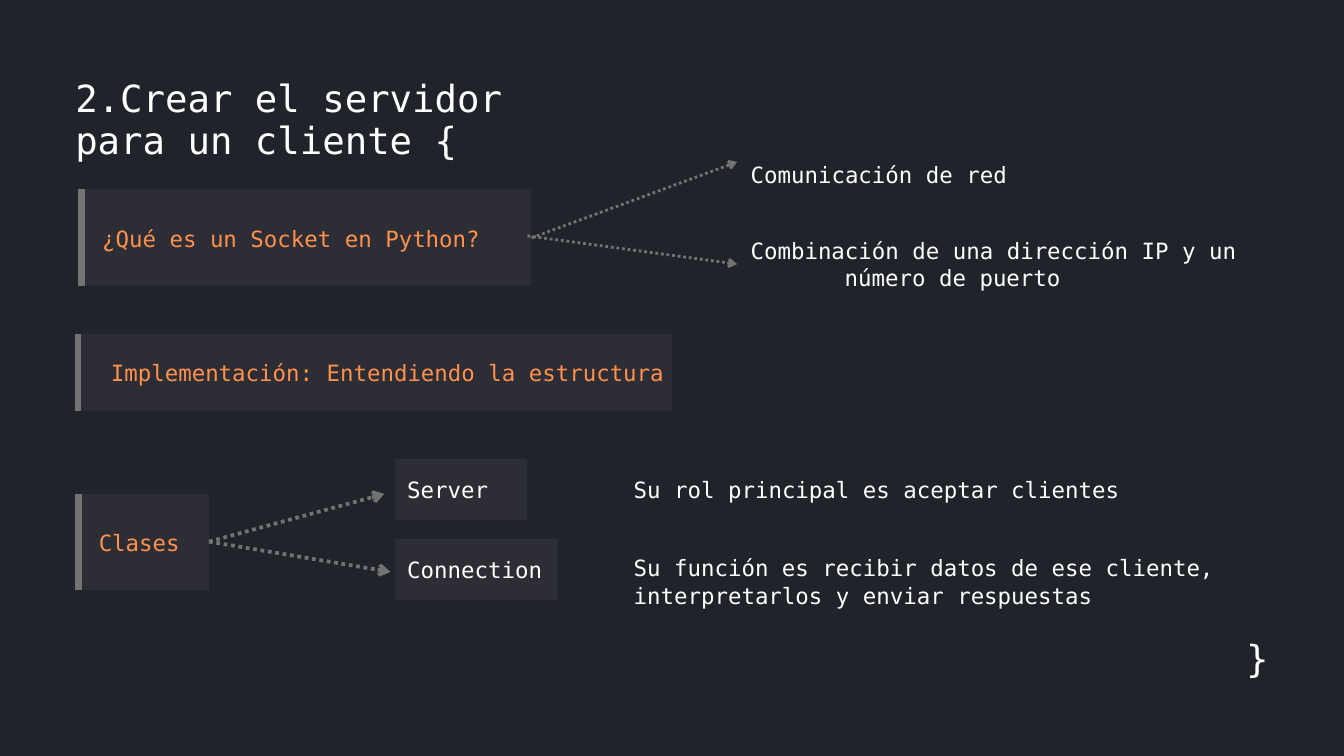
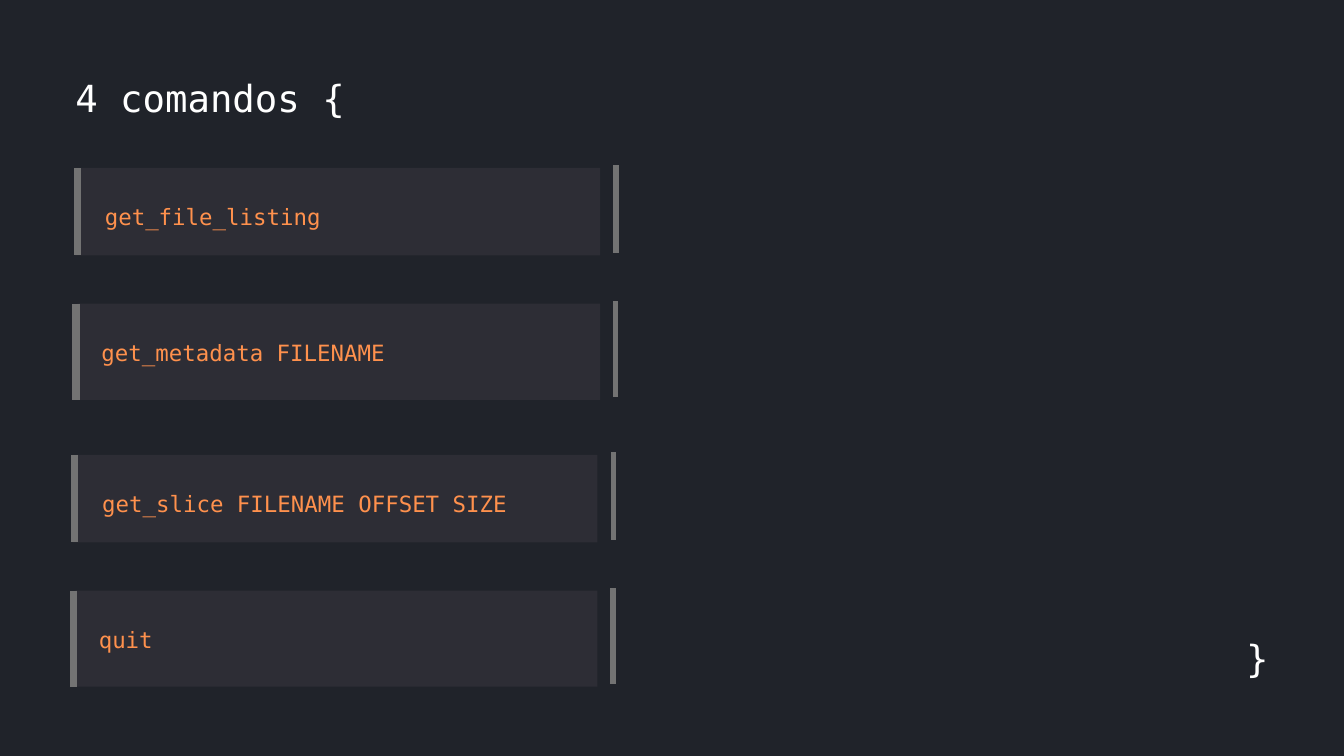
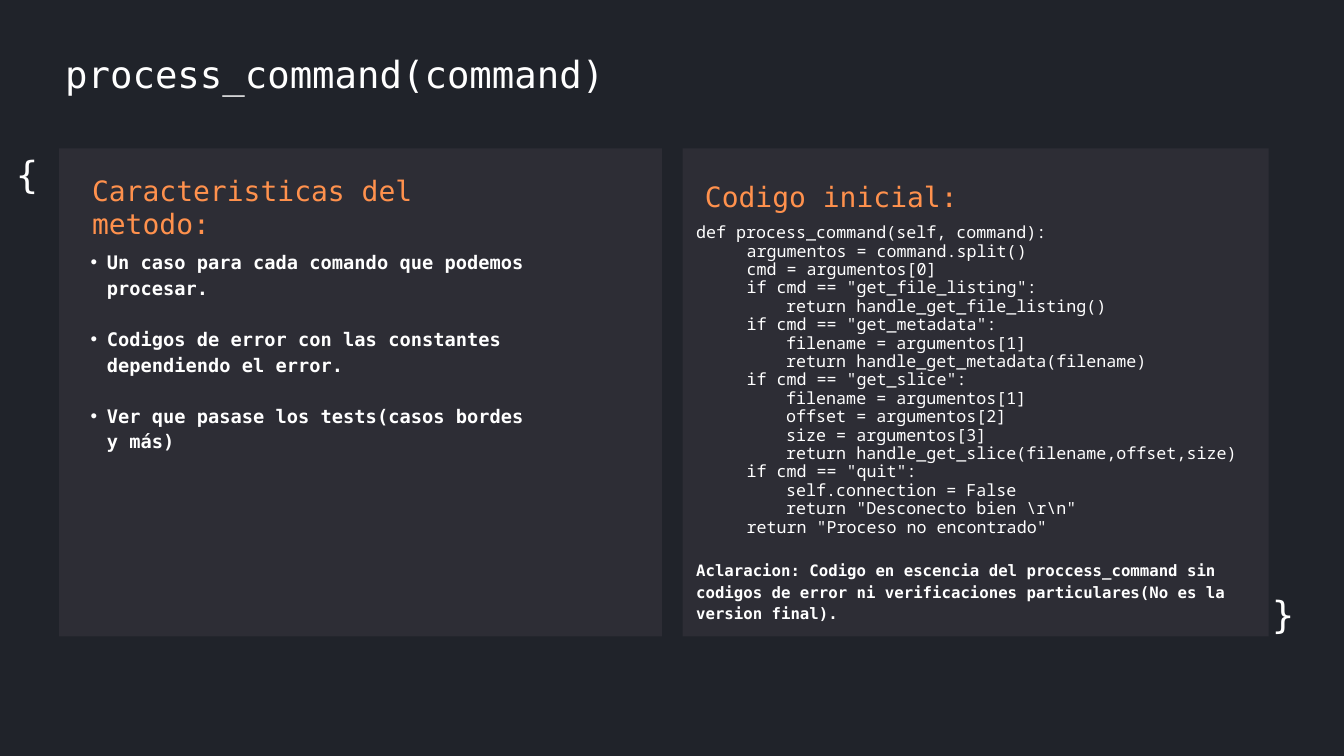
from dataclasses import dataclass
from lxml.etree import SubElement
from pptx import Presentation
from pptx.dml.color import RGBColor
from pptx.enum.dml import MSO_LINE
from pptx.enum.shapes import MSO_CONNECTOR, MSO_SHAPE
from pptx.enum.text import MSO_ANCHOR, MSO_AUTO_SIZE, PP_ALIGN
from pptx.oxml.ns import qn
from pptx.util import Inches, Pt


@dataclass
class Type:
    size: float
    lead: float
    tint: str = "FFFFFF"
    bold: bool = False
    name: str = "DejaVu Sans Mono"
    align: PP_ALIGN = PP_ALIGN.LEFT


@dataclass
class Theme:
    wide = 20
    high = 11.25
    back = "20232A"
    panel = "2D2D35"
    line = "737373"
    bar = 8
    slim = 6
    title = Type(40, 45.6)
    brace = Type(40, 45.6, align=PP_ALIGN.RIGHT)
    head = Type(30, 35.7, "FF914D")
    label = Type(24, 29, "FF914D")
    plain = Type(24, 29)
    point = Type(20, 27.4, bold=True)
    code = Type(17.9, 19.7, name="Noto Sans Mono")
    note = Type(16.8, 23, bold=True)


theme = Theme()

TITLES = [
    ("2.Crear el servidor para un cliente {", (1.12, 1.15, 7.69, 1.26)),
    ("4 comandos {", (1.12, 1.15, 8.88, 0.64)),
    ("process_command(command)", (0.97, 0.79, 9.03, 0.64)),
]
BRACES = [
    [("}", 18.11, 9.49)],
    [("}", 18.11, 9.49)],
    [("{", -0.2, 2.28), ("}", 18.49, 8.83)],
]

CARDS = [
    ("¿Qué es un Socket en Python?", (1.18, 2.82, 6.72, 1.43), 1.21, 1.52, theme.bar),
    ("Implementación: Entendiendo la estructura", (1.12, 4.97, 8.88, 1.14), 1.165, 1.65, theme.slim),
    ("Clases", (1.14, 7.35, 1.97, 1.43), 1.17, 1.47, theme.bar),
]
PARTS = [
    ("Server", (5.88, 6.83, 1.97, 0.91)),
    ("Connection", (5.88, 8.02, 2.42, 0.91)),
]
FACTS = [
    ([(0, "Comunicación de red")], (11.17, 2.39, 5.52, 0.81)),
    ([(0, "Combinación de una dirección IP y un"), (1.4, "número de puerto")],
     (11.17, 3.52, 7.6, 0.81)),
    ([(0, "Su rol principal es aceptar clientes")], (9.43, 7.08, 7.88, 0.41)),
    ([(0, "Su función es recibir datos de ese cliente, interpretarlos y enviar respuestas")],
     (9.43, 8.25, 9.37, 0.8)),
]
ARROWS = [
    ((7.91, 3.54), (10.97, 2.41), 3),
    ((7.85, 3.51), (10.97, 3.93), 3),
    ((3.11, 8.06), (5.72, 7.35), 4),
    ((3.11, 8.06), (5.81, 8.51), 4),
]

ORDERS = ["get_file_listing", "get_metadata FILENAME", "get_slice FILENAME OFFSET SIZE", "quit"]

PANELS = [(0.88, 2.21, 8.97, 7.26), (10.16, 2.21, 8.72, 7.26)]
HEADS = [
    ("Caracteristicas del metodo:", (1.37, 2.58, 6.5, 0.98)),
    ("Codigo inicial:", (10.49, 2.67, 7.26, 0.49)),
]
POINTS = [
    "Un caso para cada comando que podemos procesar.",
    "Codigos de error con las constantes dependiendo el error.",
    "Ver que pasase los tests(casos bordes y más)",
]
STEPS = (0, 0.75, 1.34)
CODE = [
    (0, "def process_command(self, command):"),
    (1, "argumentos = command.split()"),
    (1, "cmd = argumentos[0]"),
    (1, 'if cmd == "get_file_listing":'),
    (2, "return handle_get_file_listing()"),
    (1, 'if cmd == "get_metadata":'),
    (2, "filename = argumentos[1]"),
    (2, "return handle_get_metadata(filename)"),
    (1, 'if cmd == "get_slice":'),
    (2, "filename = argumentos[1]"),
    (2, "offset = argumentos[2]"),
    (2, "size = argumentos[3]"),
    (2, "return handle_get_slice(filename,offset,size)"),
    (1, 'if cmd == "quit":'),
    (2, "self.connection = False"),
    (2, r'return "Desconecto bien \r\n"'),
    (1, 'return "Proceso no encontrado"'),
]
NOTE = ("Aclaracion: Codigo en escencia del proccess_command sin codigos de error "
        "ni verificaciones particulares(No es la version final).")


def apply(thing, values):
    for key, value in values.items():
        setattr(thing, key, value)


def place(shape, box):
    apply(shape, dict(zip(("left", "top", "width", "height"), map(Inches, box))))


def write(shape, lines, kind, bullet=False):
    frame = shape.text_frame
    apply(frame, {"word_wrap": True, "auto_size": MSO_AUTO_SIZE.NONE,
                  "vertical_anchor": MSO_ANCHOR.TOP, "margin_left": 0,
                  "margin_right": 0, "margin_top": 0, "margin_bottom": 0})
    for i, (indent, text) in enumerate(lines):
        para = frame.add_paragraph() if i else frame.paragraphs[0]
        last = i == len(lines) - 1
        apply(para, {"alignment": kind.align, "line_spacing": Pt(kind.lead),
                     "space_before": Pt(0),
                     "space_after": Pt(kind.lead if bullet and not last else 0)})
        props = para._p.get_or_add_pPr()
        props.set("marL", str(Inches(indent)))
        props.set("indent", str(Inches(-0.24 if bullet else 0)))
        if bullet:
            SubElement(props, qn("a:buChar")).set("char", "•")
        run = para.add_run()
        run.text = text
        apply(run.font, {"size": Pt(kind.size), "name": kind.name, "bold": kind.bold})
        run.font.color.rgb = RGBColor.from_string(kind.tint)


def label(slide, lines, box, kind):
    if isinstance(lines, str):
        lines = [(0, lines)]
    write(slide.shapes.add_textbox(*map(Inches, box)), lines, kind)


def panel(slide, box):
    shape = slide.shapes.add_shape(MSO_SHAPE.RECTANGLE, *map(Inches, box))
    shape.shadow.inherit = False
    shape.fill.solid()
    shape.fill.fore_color.rgb = RGBColor.from_string(theme.panel)
    shape.line.fill.background()
    slide.shapes._spTree.insert(2, shape._element)


def stroke(slide, start, end, width, arrow=False):
    link = slide.shapes.add_connector(MSO_CONNECTOR.STRAIGHT, *map(Inches, start + end))
    link.line.color.rgb = RGBColor.from_string(theme.line)
    link.line.width = Pt(width)
    if arrow:
        link.line.dash_style = MSO_LINE.ROUND_DOT
        SubElement(link.line._get_or_add_ln(), qn("a:tailEnd")).set("type", "arrow")
    SubElement(link._element.spPr, qn("a:effectLst"))


def card(slide, text, box, bar, left, width):
    x, y, w, h = box
    panel(slide, box)
    stroke(slide, (bar, y), (bar, y + h), width)
    label(slide, text, (left, y + 0.52 - (h < 1.2) * 0.15, w + 0.4, 0.41), theme.label)


def server(slide):
    for item in CARDS:
        card(slide, *item)
    for text, box in PARTS:
        panel(slide, box)
        x, y, w, h = box
        label(slide, text, (x + 0.18, y + 0.25, 2.24, 0.41), theme.plain)
    for lines, box in FACTS:
        label(slide, lines, box, theme.plain)
    for start, end, width in ARROWS:
        stroke(slide, start, end, width, True)


def orders(slide):
    for i, text in enumerate(ORDERS):
        pair, odd = divmod(i, 2)
        shift = -0.04 * pair
        top = 2.5 + 4.27 * pair + 2.02 * odd
        high = 1.3 + 0.13 * odd
        box = (1.12 + 0.03 * odd + shift, top, 7.81 - 0.03 * odd, high)
        card(slide, text, box, 1.15 - 0.02 * odd + shift, 1.56 - 0.05 * odd + shift, theme.bar)
        edge = 9.17 - 0.01 * odd + shift
        stroke(slide, (edge, top - 0.04), (edge, top - 0.04 + high), theme.slim)


def method(slide):
    for box in PANELS:
        panel(slide, box)
    for text, box in HEADS:
        label(slide, text, box, theme.head)
    body = slide.placeholders[1]
    place(body, (1.12, 3.69, 6.85, 3.5))
    write(body, [(0.47, text) for text in POINTS], theme.point, True)
    label(slide, [(STEPS[step], text) for step, text in CODE], (10.36, 3.33, 8.4, 4.88), theme.code)
    label(slide, NOTE, (10.36, 8.31, 8.14, 0.95), theme.note)


def main():
    deck = Presentation()
    apply(deck, {"slide_width": Inches(theme.wide), "slide_height": Inches(theme.high)})
    fill = deck.slide_master.background.fill
    fill.solid()
    fill.fore_color.rgb = RGBColor.from_string(theme.back)
    plans = [(5, server), (5, orders), (1, method)]
    for (layout, draw), (text, box), braces in zip(plans, TITLES, BRACES):
        slide = deck.slides.add_slide(deck.slide_layouts[layout])
        place(slide.shapes.title, box)
        write(slide.shapes.title, [(0, text)], theme.title)
        draw(slide)
        for sign, x, y in braces:
            label(slide, sign, (x, y, 0.77, 0.64), theme.brace)
    deck.save("out.pptx")


if __name__ == "__main__":
    main()
